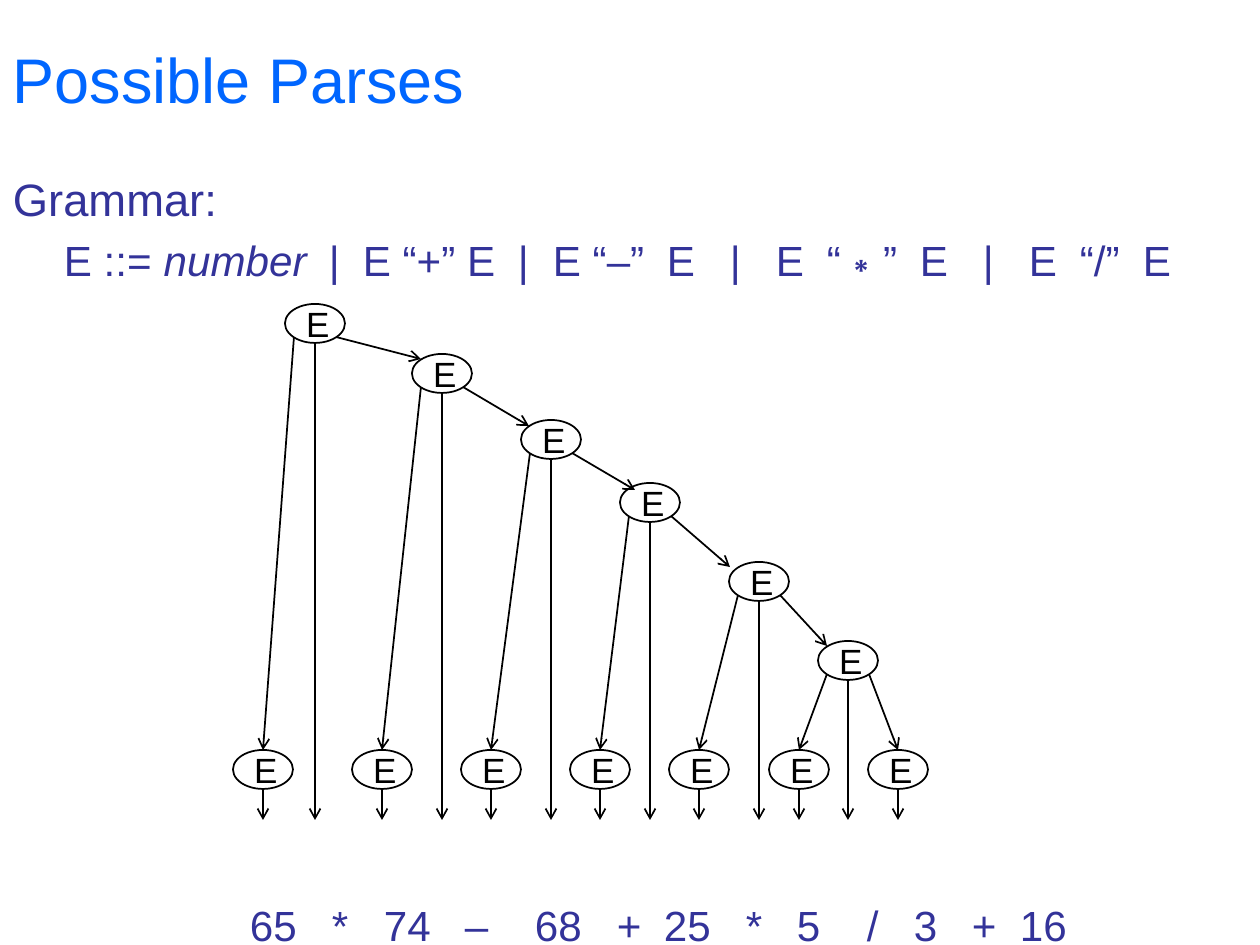
from lxml import etree
from pptx import Presentation
from pptx import util as u
from pptx.dml.color import RGBColor
from pptx.enum import shapes, text
from pptx.oxml.ns import qn

SCALE = 914400 / 126  # EMU in one px
HUES = {"title": "0066FF", "body": "333399", "ink": "000000"}
FONT = "Arial"

# Tree layout in px
WIDE, HIGH = 60, 39
LEAF_TOP, STEM_END = 750, 820
LEAVES = [233, 352, 461, 570, 669, 769, 868]
# Left and top of each inner node, then the tip of its right branch
INNER = [
    ((285, 304), (421, 359)),
    ((412, 354), (529, 426)),
    ((521, 420), (635, 490)),
    ((620, 483), (730, 567)),
    ((729, 562), (827, 646)),
    ((818, 641), (898, 750)),
]

# Pieces of a line and the px where each one starts
RULE = [
    (64, "E ::= "), (329, "|"), (363, "E “+” E"), (518, "|"),
    (553, "E “–”"), (667, "E"), (730, "|"), (776, "E"), (827, "“∗”"),
    (920, "E"), (983, "|"), (1029, "E"), (1080, "“/”"), (1143, "E"),
]
INPUT = [
    (250, "65"), (332, "*"), (384, "74"), (465, "–"), (535, "68"),
    (617, "+"), (664, "25"), (746, "*"), (797, "5"), (867, "/"),
    (914, "3"), (972, "+"), (1020, "16"),
]


def px(n):
    return u.Emu(round(n * SCALE))


def assign(obj, vals):
    for key, val in vals.items():
        setattr(obj, key, val)


def add_run(par, words, size, hue, italic=False):
    run = par.add_run()
    run.text = words
    assign(run.font, {"name": FONT, "size": u.Pt(size), "italic": italic})
    run.font.color.rgb = RGBColor.from_string(HUES[hue])


def add_title(slide, words):
    box = slide.shapes.title
    assign(box, {"left": px(0), "top": px(0),
                 "width": px(1260), "height": px(157)})
    box.text_frame.vertical_anchor = text.MSO_ANCHOR.MIDDLE
    par = box.text_frame.paragraphs[0]
    par.alignment = text.PP_ALIGN.LEFT
    add_run(par, words, 36, "title")


def add_box(slide, left, top, high):
    box = slide.shapes.add_textbox(
        px(left), px(top), px(1260 - left), px(high))
    assign(box.text_frame, {"word_wrap": True, "margin_left": 0,
                            "margin_right": 0, "margin_top": 0,
                            "margin_bottom": 0})
    return box.text_frame.paragraphs[0]


def add_row(slide, parts, top, high, italic=""):
    """One line of text whose pieces sit on tab stops."""
    (left, first), *rest = parts
    par = add_box(slide, left, top, high)
    tabs = etree.SubElement(par._p.get_or_add_pPr(), qn("a:tabLst"))
    for at, _ in rest:
        etree.SubElement(tabs, qn("a:tab"), pos=str(px(at - left)), algn="l")
    add_run(par, first, 24.1, "body")
    if italic:
        add_run(par, italic, 24.1, "body", True)
    add_run(par, "".join("\t" + word for _, word in rest), 24.1, "body")


def add_node(slide, left, top):
    node = slide.shapes.add_shape(
        shapes.MSO_SHAPE.OVAL, px(left), px(top), px(WIDE), px(HIGH))
    node.shadow.inherit = False
    node.fill.background()
    node.line.width = u.Pt(1)
    node.line.color.rgb = RGBColor.from_string(HUES["ink"])
    assign(node.text_frame, {
        "word_wrap": False, "vertical_anchor": text.MSO_ANCHOR.MIDDLE,
        "margin_left": px(6), "margin_right": 0,
        "margin_top": 0, "margin_bottom": 0})
    par = node.text_frame.paragraphs[0]
    par.alignment = text.PP_ALIGN.CENTER
    add_run(par, "E", 20, "ink")


def add_arrow(slide, start, end):
    line = slide.shapes.add_connector(
        shapes.MSO_CONNECTOR.STRAIGHT, *map(px, start + end))
    line.line.width = u.Pt(1)
    line.line.color.rgb = RGBColor.from_string(HUES["ink"])
    etree.SubElement(line.line._get_or_add_ln(), qn("a:tailEnd"), type="arrow")
    etree.SubElement(line._element.spPr, qn("a:effectLst"))


def add_stem(slide, left, top):
    mid = left + WIDE // 2
    add_arrow(slide, (mid, top + HIGH), (mid, STEM_END))


def add_tree(slide):
    # Leaves, each above its number
    for left in LEAVES:
        add_node(slide, left, LEAF_TOP)
        add_stem(slide, left, LEAF_TOP)
    # Inner nodes: left operand, operator, right operand
    for ((left, top), tip), leaf in zip(INNER, LEAVES):
        add_node(slide, left, top)
        add_stem(slide, left, top)
        add_arrow(slide, (left + 51, top + 33), tip)
        add_arrow(slide, (left + 9, top + 33), (leaf + WIDE // 2, LEAF_TOP))


def main():
    prs = Presentation()
    assign(prs, {"slide_width": px(1260), "slide_height": px(945)})
    slide = prs.slides.add_slide(prs.slide_layouts[5])
    add_title(slide, "Possible Parses")
    # Grammar and its rule
    add_run(add_box(slide, 13, 171, 52), "Grammar:", 25.9, "body")
    add_row(slide, RULE, 234, 49, "number")
    add_tree(slide)
    # Input tokens
    add_row(slide, INPUT, 899, 46)
    prs.save("out.pptx")


if __name__ == "__main__":
    main()
